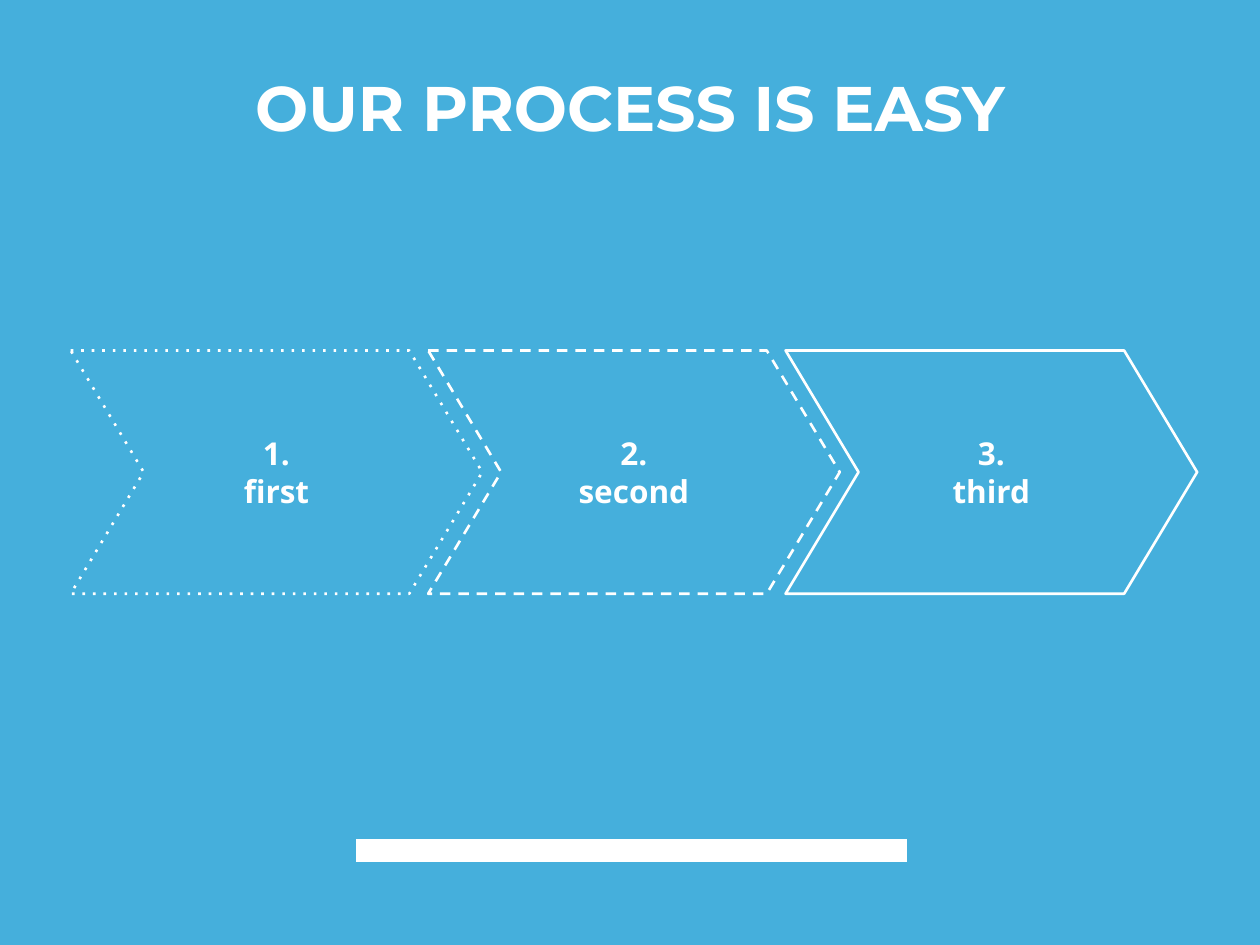
from lxml.etree import SubElement
from pptx import Presentation
from pptx.dml.color import RGBColor
from pptx.enum.shapes import MSO_SHAPE as Kind
from pptx.enum.text import MSO_ANCHOR as Anchor, MSO_AUTO_SIZE as Fit, PP_ALIGN as Align
from pptx.oxml.ns import qn
from pptx.util import Pt

WHITE, BLUE = "FFFFFF", "45AFDC"
STEPS = [("1.", "first", "dot"), ("2.", "second", "dash"), ("3.", "third", "solid")]


def paint(color, code):
    """Set a colour from a hex string."""
    color.rgb = RGBColor.from_string(code)


def style(item, form):
    """Set attributes from a dict of format values."""
    for name, value in form.items():
        setattr(item, name, value)


def write(shape, lines, font, anchor):
    """Fill a shape with centred bold white lines."""
    frame = shape.text_frame
    pad = {f"margin_{side}": Pt(7.2) for side in ("left", "top", "right", "bottom")}
    style(frame, {"word_wrap": True, "auto_size": Fit.NONE, "vertical_anchor": anchor, **pad})
    frame.text = "\n".join(lines)
    for para in frame.paragraphs:
        style(para, {"alignment": Align.CENTER, "line_spacing": 1.0, "space_before": Pt(0)})
        for run in para.runs:
            style(run.font, {"bold": True, **font})
            paint(run.font.color, WHITE)


def place(shape, box):
    """Move a shape to a box given in points."""
    style(shape, dict(zip(("left", "top", "width", "height"), map(Pt, box))))


def head(slide, text, box):
    """Place and format the title."""
    place(slide.shapes.title, box)
    write(slide.shapes.title, [text], {"name": "Montserrat", "size": Pt(36)}, Anchor.BOTTOM)


def bar(slide, box):
    """Draw the solid white bar."""
    shape = slide.shapes.add_shape(Kind.RECTANGLE, *map(Pt, box))
    shape.shadow.inherit = False
    shape.fill.solid()
    paint(shape.fill.fore_color, WHITE)
    shape.line.fill.background()


def flow(slide, steps, box, wide):
    """Spread outlined chevrons evenly over a box."""
    left, top, width, height = box
    pitch = (width - wide) / (len(steps) - 1)
    for i, (mark, label, dash) in enumerate(steps):
        spot = (left + i * pitch, top, wide, height)
        shape = slide.shapes.add_shape(Kind.CHEVRON, *map(Pt, spot))
        shape.adjustments[0] = 0.3
        shape.shadow.inherit = False
        shape.fill.background()
        shape.line.width = Pt(1.5)
        paint(shape.line.color, WHITE)
        line = shape._element.spPr.find(qn("a:ln"))
        SubElement(line, qn("a:prstDash"), val=dash)
        write(shape, [mark, label], {"name": "Open Sans", "size": Pt(18)}, Anchor.MIDDLE)


def main():
    """Build and save the slide."""
    deck = Presentation()
    style(deck, {"slide_width": Pt(720), "slide_height": Pt(540)})
    slide = deck.slides.add_slide(deck.slide_layouts[5])
    slide.background.fill.solid()
    paint(slide.background.fill.fore_color, BLUE)
    bar(slide, (203.5, 479.5, 314.8, 13))
    head(slide, "OUR PROCESS IS EASY", (36, 28.8, 648, 60.5))
    flow(slide, STEPS, (40.4, 200.3, 643.7, 139), 235.2)
    deck.save("out.pptx")


main()
